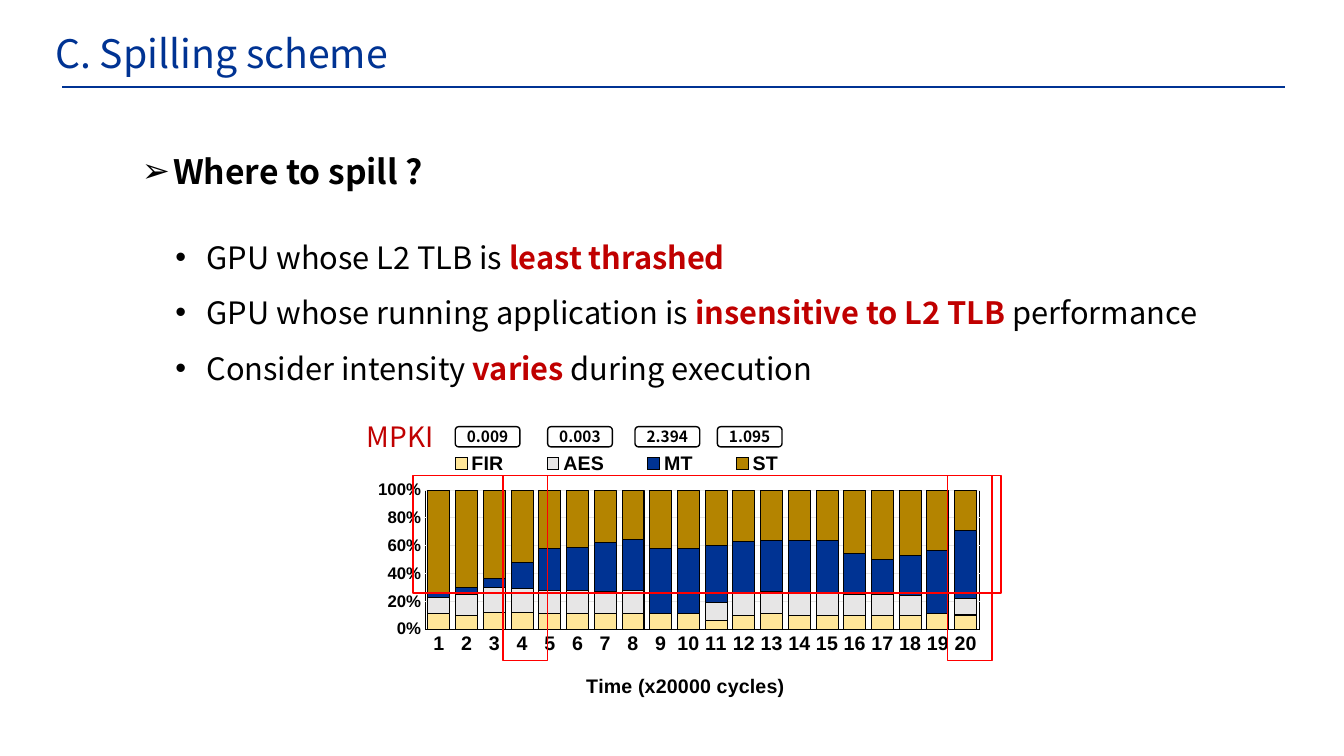
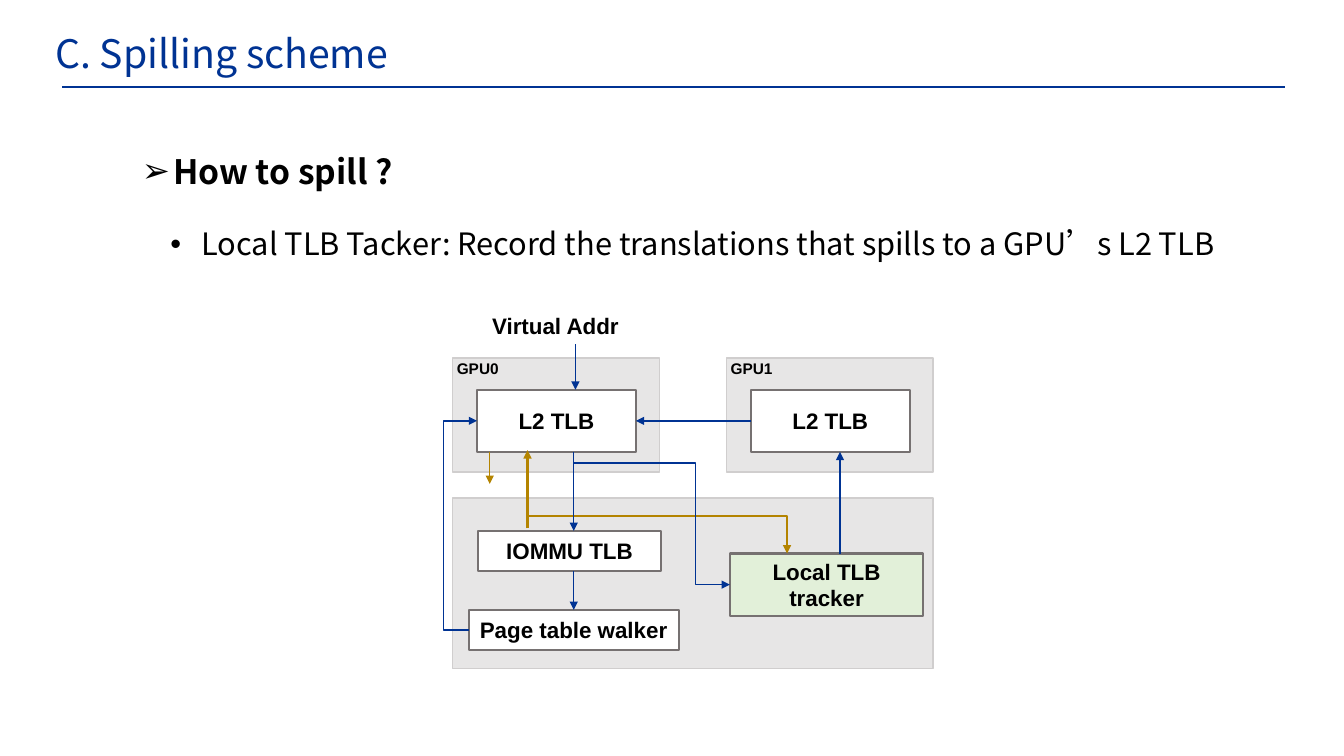
from dataclasses import dataclass

from lxml import etree
from pptx import Presentation
from pptx import util as u
from pptx.chart.data import CategoryChartData
from pptx.dml.color import RGBColor
from pptx.enum import chart as charts, shapes, text
from pptx.oxml import ns

COLUMNS, ROWS = 160, 90


@dataclass(frozen=True)
class Theme:
    font: str = "Noto Sans CJK SC"
    diagram_font: str = "Arial"
    ink: str = "000000"
    white: str = "FFFFFF"
    navy: str = "003393"
    gold: str = "B48400"
    sand: str = "FFE699"
    grey: str = "E7E6E6"
    panel_edge: str = "D0CECE"
    block_edge: str = "767171"
    green: str = "E2F0D9"
    emphasis: str = "C00000"
    frame: str = "FF0000"
    title: int = 28
    heading: int = 24
    body: int = 22
    label: int = 20
    block: int = 16
    chart: int = 14
    axis: int = 12
    small: int = 11


THEME = Theme()


def rgb(value):
    return RGBColor.from_string(value)


def child(parent, tag, **attributes):
    return etree.SubElement(parent, ns.qn(tag), attributes)


def set_font(font, name, size, color, bold):
    font.name, font.size, font.bold = name, u.Pt(size), bold
    font.color.rgb = rgb(color)


def set_line(line, color, width):
    line.color.rgb = rgb(color)
    line.width = u.Pt(width)


def write(frame, lines, size=THEME.body, font=THEME.font, color=THEME.ink,
          bold=False, align=None, spacing=None, bullet=None):
    """Write one paragraph per line; parts between asterisks are emphasised."""
    for index, line in enumerate(lines):
        para = frame.paragraphs[0] if index == 0 else frame.add_paragraph()
        para.alignment = align
        if spacing:
            para.line_spacing = spacing
        if bullet:
            properties = para._p.get_or_add_pPr()
            properties.set("marL", str(u.Inches(0.31)))
            properties.set("indent", str(-u.Inches(0.31)))
            child(properties, "a:buFont", typeface="Arial")
            child(properties, "a:buChar", char=bullet)
        for part, words in enumerate(line.split("*")):
            if not words:
                continue
            strong = part % 2 == 1
            span = para.add_run()
            span.text = words
            set_font(span.font, font, size,
                     THEME.emphasis if strong else color, bold or strong)
            child(span._r.get_or_add_rPr(), "a:ea", typeface=font)


def manual_layout(layout, inner=False, **shares):
    """Place a chart part by shares of the chart's size."""
    manual = child(layout, "c:manualLayout")
    if inner:
        child(manual, "c:layoutTarget", val="inner")
    for axis in "xy":
        child(manual, f"c:{axis}Mode", val="edge")
    for name in "xywh":
        if name in shares:
            child(manual, f"c:{name}", val=str(shares[name]))


def layout_after(parent, tag):
    """Return an empty layout element, following the given child."""
    for old in parent.findall(ns.qn("c:layout")):
        parent.remove(old)
    layout = etree.Element(ns.qn("c:layout"))
    anchor = parent.find(ns.qn(tag)) if tag else None
    parent.insert(0 if anchor is None else parent.index(anchor) + 1, layout)
    return layout


class SlideDeck:
    """Draws on the current page; lengths are grid columns and rows."""

    def __init__(self):
        self.deck = Presentation()
        self.deck.slide_width = u.Inches(13.33)
        self.deck.slide_height = u.Inches(7.5)
        self.page = None

    def grid(self, *lengths):
        """Turn alternating columns and rows into slide lengths."""
        cells = (self.deck.slide_width / COLUMNS, self.deck.slide_height / ROWS)
        return [round(length * cells[i % 2]) for i, length in enumerate(lengths)]

    def new_page(self, title, heading, heading_width):
        self.page = self.deck.slides.add_slide(self.deck.slide_layouts[6])
        self.text((5.4, 2.9, 42.8, 10.6), [title], wrap=False,
                  size=THEME.title, color=THEME.navy)
        self.line((7.4, 10.4), (153, 10.4), width=1.5, arrow=False)
        self.text((15.7, 17.2, heading_width, 6.1), [heading], wrap=False,
                  size=THEME.heading, bold=True, spacing=u.Pt(30), bullet="➢")

    def text(self, area, lines, wrap=True, **style):
        box = self.page.shapes.add_textbox(*self.grid(*area))
        box.text_frame.word_wrap = wrap
        box.text_frame.auto_size = text.MSO_AUTO_SIZE.SHAPE_TO_FIT_TEXT
        write(box.text_frame, lines, **style)

    def bullets(self, area, lines):
        self.text(area, lines, spacing=1.5, bullet="•")

    def label(self, area, words, size):
        self.text(area, [words], size=size, font=THEME.diagram_font, bold=True)

    def shape(self, area, fill, edge, width, words=None, rounded=False, **style):
        kind = shapes.MSO_SHAPE
        box = self.page.shapes.add_shape(
            kind.ROUNDED_RECTANGLE if rounded else kind.RECTANGLE,
            *self.grid(*area))
        box.shadow.inherit = False
        if fill:
            box.fill.solid()
            box.fill.fore_color.rgb = rgb(fill)
        else:
            box.fill.background()
        set_line(box.line, edge, width)
        if words:
            box.text_frame.vertical_anchor = text.MSO_ANCHOR.MIDDLE
            write(box.text_frame, [words], bold=True,
                  align=text.PP_ALIGN.CENTER, **style)
        return box

    def panel(self, area):
        return self.shape(area, THEME.grey, THEME.panel_edge, 1)

    def block(self, area, words, fill=THEME.white):
        return self.shape(area, fill, THEME.block_edge, 1.5, words,
                          size=THEME.block, font=THEME.diagram_font)

    def gpu(self, name, column, row):
        """Draw a GPU panel and return its L2 TLB block."""
        self.panel((column, row, 24.6, 13.6))
        self.label((column - 0.7, row - 0.4, 16.7, 3.5), name, THEME.small)
        return self.block((column + 2.9, row + 3.8, 18.9, 7.4), "L2 TLB")

    def line(self, start, end, color=THEME.navy, width=1, arrow=True,
             via=None, begin=None, finish=None):
        """Draw a line; via is the column where an elbow turns, begin and
        finish are (box, side) joints."""
        kind = shapes.MSO_CONNECTOR
        link = self.page.shapes.add_connector(
            kind.STRAIGHT if via is None else kind.ELBOW,
            *self.grid(*start, *end))
        if begin:
            link.begin_connect(*begin)
        if finish:
            link.end_connect(*finish)
        set_line(link.line, color, width)
        properties = link._element.spPr
        if via is not None:
            share = (via - start[0]) / (end[0] - start[0])
            guides = properties.find(".//" + ns.qn("a:avLst"))
            if guides is None:
                guides = child(properties.find(ns.qn("a:prstGeom")), "a:avLst")
            child(guides, "a:gd", name="adj1", fmla=f"val {round(share * 100000)}")
        if arrow:
            child(properties.find(ns.qn("a:ln")), "a:tailEnd", type="triangle")
        child(properties, "a:effectLst")

    def share_chart(self, area, categories, series, axis_title):
        """Add a 100% stacked column chart; series is (name, colour, values)."""
        data = CategoryChartData()
        data.categories = categories
        for name, _, values in series:
            data.add_series(name, values)
        chart = self.page.shapes.add_chart(
            charts.XL_CHART_TYPE.COLUMN_STACKED_100, *self.grid(*area), data).chart
        bold_black = (THEME.ink, True)
        set_font(chart.font, THEME.diagram_font, THEME.chart, *bold_black)
        chart.has_title = False

        plot = chart.plots[0]
        plot.gap_width, plot.overlap, plot.vary_by_categories = 26, 100, False
        for bars, (_, color, _) in zip(plot.series, series):
            bars.format.fill.solid()
            bars.format.fill.fore_color.rgb = rgb(color)
            set_line(bars.format.line, THEME.ink, 0.75)

        for axis, size in ((chart.category_axis, THEME.chart),
                           (chart.value_axis, THEME.axis)):
            axis.major_tick_mark = axis.minor_tick_mark = charts.XL_TICK_MARK.NONE
            set_font(axis.tick_labels.font, THEME.diagram_font, size, *bold_black)
        set_line(chart.category_axis.format.line, THEME.ink, 0.75)
        title = chart.category_axis.axis_title
        write(title.text_frame, [axis_title], size=THEME.chart,
              font=THEME.diagram_font, bold=True)
        manual_layout(layout_after(title._element, "c:tx"), x=0.37, y=0.79)

        scale = chart.value_axis
        scale.minimum_scale, scale.maximum_scale, scale.major_unit = 0, 1, 0.2
        scale.tick_labels.number_format = "0%"
        scale.tick_labels.number_format_is_linked = False
        scale.format.line.fill.background()
        set_line(scale.major_gridlines.format.line, THEME.grey, 0.75)

        chart.has_legend = True
        legend = chart.legend
        legend.position = charts.XL_LEGEND_POSITION.BOTTOM
        legend.include_in_layout = False
        set_font(legend.font, THEME.diagram_font, THEME.chart, *bold_black)
        manual_layout(layout_after(legend._element, "c:legendPos"),
                      x=0.13, y=0.25, w=0.58, h=0.07)

        plot_area = chart._chartSpace.chart.plotArea
        manual_layout(layout_after(plot_area, None), inner=True,
                      x=0.14, y=0.35, w=0.81, h=0.34)
        border = child(child(plot_area, "c:spPr"), "a:ln", w=str(u.Pt(0.75)))
        child(child(border, "a:solidFill"), "a:srgbClr", val=THEME.ink)


def where_to_spill(slides):
    slides.new_page("C. Spilling scheme", "Where to spill ?", 36.4)
    slides.bullets((19.7, 25.6, 132, 34), [
        "GPU whose L2 TLB is *least thrashed*",
        "GPU whose running application is *insensitive to L2 TLB *performance",
        "Consider intensity *varies* during execution",
    ])
    slides.share_chart((39.2, 41.3, 81.5, 48.7), [str(n) for n in range(1, 21)], [
        ("FIR", THEME.sand, [11, 10, 12, 12, 11, 11, 11, 11, 11, 11,
                             6, 10, 11, 10, 10, 10, 10, 10, 11, 10]),
        ("AES", THEME.grey, [12, 15, 18, 17, 17, 17, 16, 17, 0, 0,
                             13, 16, 16, 16, 16, 15, 15, 14, 0, 12]),
        ("MT", THEME.navy, [3, 5, 6, 19, 30, 31, 35, 37, 47, 47,
                            41, 37, 37, 38, 38, 29, 25, 29, 45, 48]),
        ("ST", THEME.gold, [74, 70, 64, 52, 42, 42, 38, 36, 42, 42,
                            40, 37, 36, 36, 36, 46, 50, 47, 43, 29]),
    ], "Time (x20000 cycles)")
    slides.text((42.5, 49.3, 10.7, 5.3), ["MPKI"], wrap=False,
                size=THEME.label, color=THEME.emphasis)
    for column, rate in ((54.2, "0.009"), (65.2, "0.003"),
                         (75.6, "2.394"), (85.4, "1.095")):
        slides.shape((column, 50.8, 7.7, 2.4), THEME.white, THEME.ink, 1, rate,
                     rounded=True, size=THEME.small)
    slides.shape((49.2, 56.6, 70, 14), None, THEME.frame, 1.25)
    for column in (59.9, 112.8):
        slides.shape((column, 56.6, 5.3, 22), None, THEME.frame, 1)


def how_to_spill(slides):
    slides.new_page("C. Spilling scheme", "How to spill ?", 32.6)
    slides.bullets((19.1, 24, 131.5, 13.9), [
        "Local TLB Tacker: Record the translations that spills to a GPU’s L2 TLB"])
    slides.panel((53.9, 59.3, 57.2, 20.3))
    near, far = [slides.gpu(name, column, 42.6)
                 for name, column in (("GPU0", 53.9), ("GPU1", 86.5))]
    slides.block((56.9, 63.2, 21.8, 4.8), "IOMMU TLB")
    slides.block((86.9, 65.9, 23, 7.4), "Local TLB tracker", THEME.green)
    walker = slides.block((55.8, 72.6, 25, 4.8), "Page table walker")
    slides.label((57.4, 36.6, 17.8, 4.4), "Virtual Addr", THEME.block)

    slides.line((68.5, 41), (68.5, 46.4))
    slides.line((62.8, 61.4), (93.7, 65.9), THEME.gold, 1.5, via=93.7)
    slides.line((62.8, 62.9), (62.8, 53.6), THEME.gold, 1.75)
    slides.line((68.3, 53.8), (68.3, 63.2))
    slides.line((68.3, 55.1), (86.9, 69.6), via=82.8)
    slides.line((58.3, 53.8), (58.3, 57.6), THEME.gold)
    slides.line((100, 65.9), (100, 53.8))
    slides.line((89.4, 50.1), (75.7, 50.1), begin=(far, 1), finish=(near, 3))
    slides.line((68.3, 68), (68.3, 72.6), finish=(walker, 0))
    slides.line((55.8, 75), (56.8, 50.1), via=52.8)


def main():
    slides = SlideDeck()
    where_to_spill(slides)
    how_to_spill(slides)
    slides.deck.save("out.pptx")


if __name__ == "__main__":
    main()
